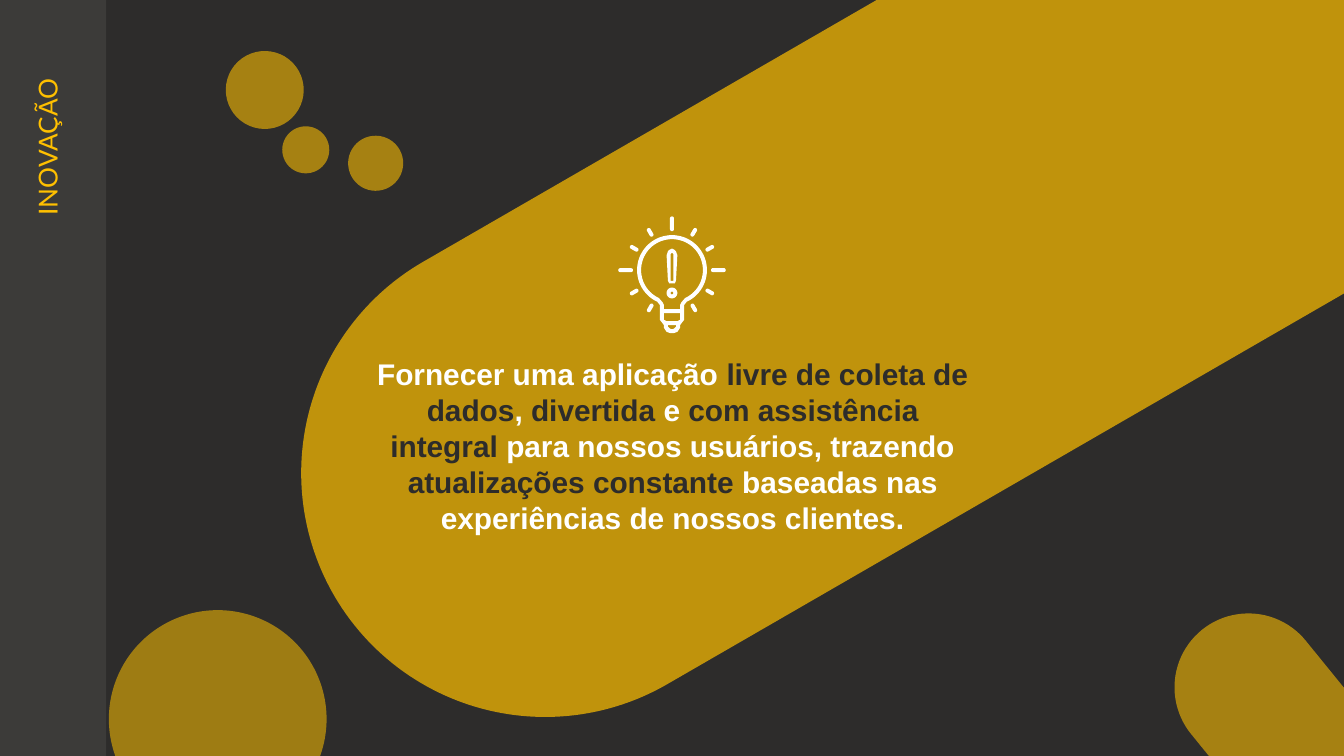
from dataclasses import dataclass
from math import cos, radians, sin

from lxml.etree import SubElement
from pptx import Presentation
from pptx.dml.color import RGBColor
from pptx.enum.shapes import MSO_SHAPE as Preset
from pptx.enum.text import MSO_ANCHOR as Anchor, PP_ALIGN as Align
from pptx.oxml.ns import qn
from pptx.shapes.autoshape import Shape
from pptx.slide import Slide
from pptx.util import Inches, Pt

Point = tuple[float, float]


@dataclass(frozen=True)
class Theme:
    dark: str = "2D2C2B"
    panel: str = "3C3B39"
    gold: str = "FFC000"
    white: str = "FFFFFF"
    title_font: str = "Lato"
    body_font: str = "Arial"
    title_size: int = 14
    body_size: int = 16


@dataclass(frozen=True)
class Blob:
    preset: Preset
    left: float
    top: float
    width: float
    height: float
    color: str
    opacity: int = 100
    rotation: float = 0


THEME = Theme()
ROUND, CIRCLE = Preset.ROUNDED_RECTANGLE, Preset.OVAL

SIDE_PANEL = Blob(Preset.RECTANGLE, -0.01, -0.01, 0.8, 5.68, THEME.panel)
LARGE_PILL = Blob(ROUND, 1.83, 0.17, 9.77, 3.63, THEME.gold, 70, 330)
ACCENTS = [
    Blob(CIRCLE, 0.81, 4.54, 1.62, 1.62, THEME.gold, 54),
    Blob(CIRCLE, 2.59, 1.01, 0.41, 0.41, THEME.gold, 58, 30.9),
    Blob(CIRCLE, 2.1, 0.94, 0.35, 0.35, THEME.gold, 58, 30.9),
    Blob(CIRCLE, 1.68, 0.38, 0.58, 0.58, THEME.gold, 58, 30.9),
]
CORNER_PILL = Blob(ROUND, 8.55, 4.96, 2.12, 1.1, THEME.gold, 58, 50.9)

# Mission statement, alternating white and dark
MISSION = [
    "Fornecer uma aplicação ", "livre de coleta de dados", ", ", "divertida",
    " e ", "com assistência integral", " para nossos usuários, trazendo ",
    "atualizações constante ", "baseadas nas experiências de nossos clientes.",
]

BULB_X, BULB_Y = 5.0, 2.01
RAY_THICKNESS = 0.03


def paint(shape: Shape, color: str, opacity: int = 100) -> None:
    shape.shadow.inherit = False
    shape.line.fill.background()
    shape.fill.solid()
    shape.fill.fore_color.rgb = RGBColor.from_string(color)
    if opacity < 100:
        tint = shape.fill._xPr.find(qn("a:solidFill"))[0]
        SubElement(tint, qn("a:alpha")).set("val", str(opacity * 1000))


def draw_blob(page: Slide, blob: Blob) -> None:
    shape = page.shapes.add_shape(
        blob.preset, Inches(blob.left), Inches(blob.top),
        Inches(blob.width), Inches(blob.height))
    if blob.preset == ROUND:
        shape.adjustments[0] = 0.5
    shape.rotation = blob.rotation
    paint(shape, blob.color, blob.opacity)


def add_text_box(page: Slide, left: float, top: float,
                 width: float, height: float) -> Shape:
    box = page.shapes.add_textbox(
        Inches(left), Inches(top), Inches(width), Inches(height))
    frame = box.text_frame
    frame.word_wrap = True
    frame.vertical_anchor = Anchor.TOP
    frame.margin_left = frame.margin_right = Inches(0.1)
    frame.margin_top = frame.margin_bottom = Inches(0.1)
    return box


def arc(x: float, y: float, radius: float, start: int, end: int) -> list[Point]:
    return [(x + radius * cos(radians(a)), y + radius * sin(radians(a)))
            for a in range(start, end + 1, 5)]


def mirrored(right_half: list[Point]) -> list[Point]:
    """Close a right-hand outline with its reflection in the bulb's axis."""
    return right_half + [(2 * BULB_X - x, y) for x, y in reversed(right_half)]


def draw_outline(page: Slide, contours: list[list[Point]], color: str) -> None:
    """Fill nested contours as one shape, inner ones being holes."""
    first, *others = [[(Inches(x), Inches(y)) for x, y in contour]
                      for contour in contours]
    builder = page.shapes.build_freeform(*first[0])
    builder.add_line_segments(first[1:], close=True)
    for contour in others:
        builder.move_to(*contour[0])
        builder.add_line_segments(contour[1:], close=True)
    paint(builder.convert_to_shape(), color)


def draw_ray(page: Slide, angle: int) -> None:
    inner, outer = 0.29, 0.4 if angle % 90 == 0 else 0.36
    length, middle = outer - inner, (inner + outer) / 2
    x = BULB_X + middle * cos(radians(angle))
    y = BULB_Y + middle * sin(radians(angle))
    draw_blob(page, Blob(ROUND, x - length / 2, y - RAY_THICKNESS / 2, length,
                         RAY_THICKNESS, THEME.white, rotation=angle))


def draw_bulb(page: Slide) -> None:
    # Glass, collar and tip
    draw_outline(page, [
        mirrored(arc(BULB_X, BULB_Y, 0.26, -90, 65) + [
            (5.09, 2.27), (5.09, 2.38), (5.06, 2.42), (5.06, 2.44),
            (5.04, 2.47), (5.01, 2.48)]),
        mirrored(arc(BULB_X, BULB_Y, 0.23, -90, 65) + [
            (5.07, 2.25), (5.06, 2.27), (5.06, 2.3)]),
        mirrored([(5.06, 2.33), (5.06, 2.38), (5.04, 2.39)]),
        mirrored([(5.03, 2.42), (5.03, 2.43), (5.01, 2.45)]),
    ], THEME.white)
    # Exclamation mark
    draw_outline(page, [
        mirrored([(5, 1.85), (5.02, 1.86), (5.03, 1.87), (5.04, 1.9),
                  (5.03, 2.09), (5.02, 2.11), (5, 2.11)]),
        mirrored([(5, 1.88), (5.01, 1.89), (5.01, 2.09)]),
    ], THEME.white)
    draw_outline(page, [arc(BULB_X, 2.18, 0.04, 0, 355),
                        arc(BULB_X, 2.18, 0.01, 0, 355)], THEME.white)
    # Rays every 30 degrees, except below the bulb
    for angle in range(0, 360, 30):
        if angle != 90:
            draw_ray(page, angle)


def draw_title(page: Slide) -> None:
    box = add_text_box(page, -1.13, 1.75, 3.11, 0.58)
    box.rotation = 270
    box.text_frame.text = "INOVAÇÃO"
    para = box.text_frame.paragraphs[0]
    para.alignment = Align.RIGHT
    font = para.runs[0].font
    font.name, font.size = THEME.title_font, Pt(THEME.title_size)
    font.color.rgb = RGBColor.from_string(THEME.gold)


def draw_mission(page: Slide) -> None:
    box = add_text_box(page, 2.7, 2.55, 4.61, 1.64)
    para = box.text_frame.paragraphs[0]
    para.alignment = Align.CENTER
    para.space_after = Pt(16)
    for index, words in enumerate(MISSION):
        span = para.add_run()
        span.text = words
        font = span.font
        font.name, font.size, font.bold = THEME.body_font, Pt(THEME.body_size), True
        font.color.rgb = RGBColor.from_string(
            THEME.dark if index % 2 else THEME.white)


def main() -> None:
    # Widescreen 16:9 page
    deck = Presentation()
    deck.slide_width = Inches(10)
    deck.slide_height = deck.slide_width * 9 // 16
    page = deck.slides.add_slide(deck.slide_layouts[6])
    page.background.fill.solid()
    page.background.fill.fore_color.rgb = RGBColor.from_string(THEME.dark)

    # Side panel and title
    draw_blob(page, SIDE_PANEL)
    draw_title(page)

    # Mission on the large pill
    draw_blob(page, LARGE_PILL)
    draw_mission(page)

    # Accents and icon
    for accent in ACCENTS:
        draw_blob(page, accent)
    draw_bulb(page)
    draw_blob(page, CORNER_PILL)
    deck.save("out.pptx")


if __name__ == "__main__":
    main()
